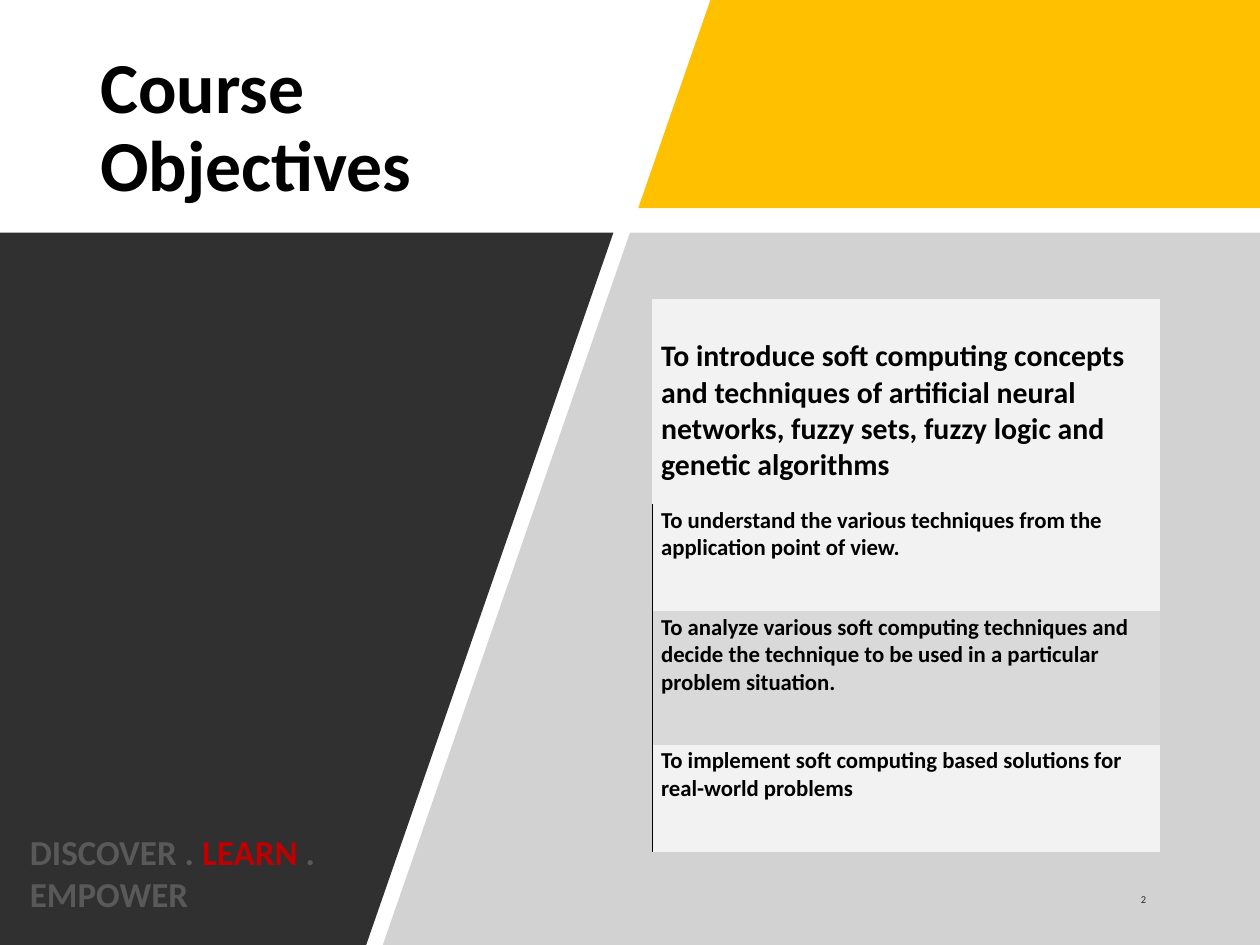
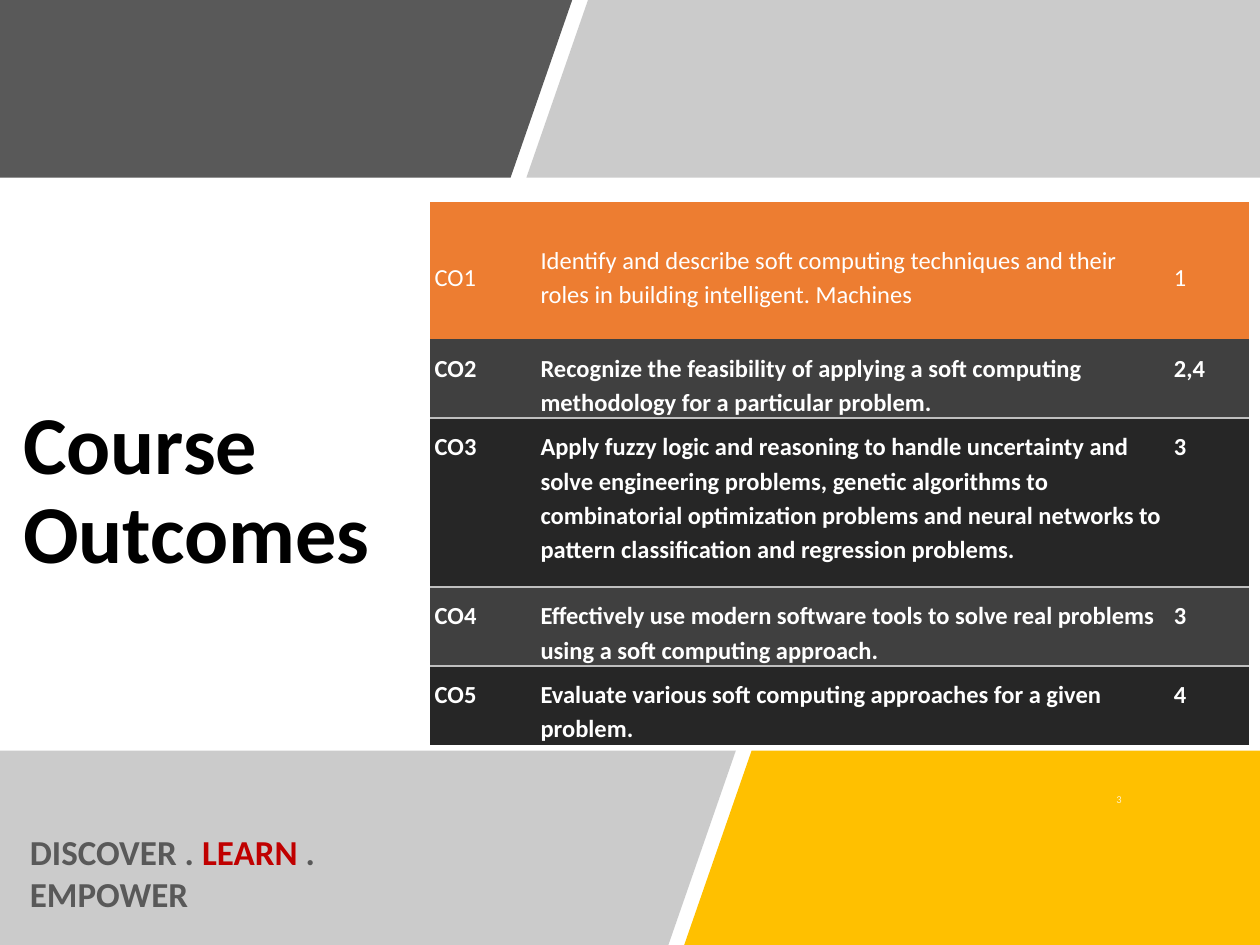
from lxml import etree
from pptx import Presentation
from pptx.dml.color import RGBColor
from pptx.enum.text import MSO_ANCHOR, MSO_AUTO_SIZE, PP_ALIGN
from pptx.oxml.ns import qn
from pptx.util import Pt

TOP, MIDDLE, BOTTOM = MSO_ANCHOR.TOP, MSO_ANCHOR.MIDDLE, MSO_ANCHOR.BOTTOM
LEFT, RIGHT = PP_ALIGN.LEFT, PP_ALIGN.RIGHT
NO_AUTOFIT = MSO_AUTO_SIZE.NONE

BLACK = RGBColor(0x00, 0x00, 0x00)
WHITE = RGBColor(0xFF, 0xFF, 0xFF)
YELLOW = RGBColor(0xFF, 0xC0, 0x00)
RED = RGBColor(0xC0, 0x00, 0x00)
ORANGE = RGBColor(0xED, 0x7D, 0x31)
SLATE = RGBColor(0x59, 0x59, 0x59)
CHARCOAL = RGBColor(0x30, 0x30, 0x30)
GREY = RGBColor(0xA6, 0xA6, 0xA6)
MID_GREY = RGBColor(0x7F, 0x7F, 0x7F)
RULE_GREY = RGBColor(0xBF, 0xBF, 0xBF)
PALE_ROW = RGBColor(0xF2, 0xF2, 0xF2)
SHADED_ROW = RGBColor(0xD9, 0xD9, 0xD9)
DARK_ROW = RGBColor(0x40, 0x40, 0x40)
DARKER_ROW = RGBColor(0x26, 0x26, 0x26)

FONT = "Calibri"
WIDTH, HEIGHT = 720, 540
SLANT = 0.347
NO_STYLE_TABLE = "{2D5ABB26-0587-4C30-8999-92F81FD0307C}"
MOTTO = [("DISCOVER . ", SLATE), ("LEARN", RED), (" . EMPOWER", SLATE)]

OBJECTIVE = {"size": 13, "bold": True, "color": BLACK, "anchor": TOP}
LEAD_OBJECTIVE = {"size": 17, "bold": True, "color": BLACK, "anchor": BOTTOM}
OUTCOME = {"size": 14, "bold": True, "color": WHITE, "anchor": TOP}
LEAD_OUTCOME = {"size": 14, "bold": False, "color": WHITE, "anchor": MIDDLE}

SLIDES = [
    {
        "title": "Course Objectives",
        "title_box": (50, 29, 310, 90),
        "title_size": 41,
        "title_anchor": MIDDLE,
        "panels": [
            (0, 119, 406, WIDTH, YELLOW, 100),
            (133, HEIGHT, 360, WIDTH, GREY, 50),
            (133, HEIGHT, 0, 350.5, CHARCOAL, 100),
        ],
        "number": ("2", 662, 514.5, BLACK),
        "table": {
            "origin": (372.8, 171),
            "columns": [290],
            "margins": (5, 1.4, 8.6, 11.5),
            "line_spacing": 1.0,
            "border_color": BLACK,
            "rows": [
                (117, PALE_ROW, "", LEAD_OBJECTIVE, [
                    "To introduce soft computing concepts and techniques of artificial "
                    "neural networks, fuzzy sets, fuzzy logic and genetic algorithms"]),
                (61.2, PALE_ROW, "L", OBJECTIVE, [
                    "To understand the various techniques from the application point of view."]),
                (76.3, SHADED_ROW, "L", OBJECTIVE, [
                    "To analyze various soft computing techniques and decide the technique "
                    "to be used in a particular problem situation."]),
                (61.2, PALE_ROW, "L", OBJECTIVE, [
                    "To implement soft computing based solutions for real-world problems"]),
            ],
        },
    },
    {
        "title": "Course Outcomes",
        "title_box": (6, 130, 272, 205.5),
        "title_size": 47,
        "title_anchor": BOTTOM,
        "panels": [
            (0, 101.5, 0, 327, SLATE, 100),
            (0, 101.5, 336, WIDTH, MID_GREY, 40),
            (429, HEIGHT, 429.5, WIDTH, YELLOW, 100),
            (429, HEIGHT, 0, 420.5, MID_GREY, 40),
        ],
        "number": ("3", 648, 457, WHITE),
        "table": {
            "origin": (246, 115.5),
            "columns": [60.5, 362, 45.5],
            "margins": (2.4, 5.8, 2.4, 0),
            "line_spacing": 1.15,
            "border_color": RULE_GREY,
            "rows": [
                (78.3, ORANGE, "", LEAD_OUTCOME, [
                    "CO1",
                    "Identify and describe soft computing techniques and their roles in "
                    "building intelligent. Machines",
                    "1"]),
                (45, DARK_ROW, "B", OUTCOME, [
                    "CO2",
                    "Recognize the feasibility of applying a soft computing methodology "
                    "for a particular problem.",
                    "2,4"]),
                (96.7, DARKER_ROW, "T", OUTCOME, [
                    "CO3",
                    "Apply fuzzy logic and reasoning to handle uncertainty and solve "
                    "engineering problems, genetic algorithms to combinatorial optimization "
                    "problems and neural networks to pattern classification and regression "
                    "problems.",
                    "3"]),
                (45, DARK_ROW, "B", OUTCOME, [
                    "CO4",
                    "Effectively use modern software tools to solve real problems using a "
                    "soft computing approach.",
                    "3"]),
                (45, DARKER_ROW, "T", OUTCOME, [
                    "CO5",
                    "Evaluate various soft computing approaches for a given problem.",
                    "4"]),
            ],
        },
    },
]


def set_attributes(target, values):
    for name, value in values.items():
        setattr(target, name, value)


def set_opacity(element, percent):
    for color in element.iter(qn("a:srgbClr")):
        etree.SubElement(color, qn("a:alpha"), val=str(percent * 1000))


def add_run(paragraph, text, size, color, bold=False):
    run = paragraph.add_run()
    run.text = text
    set_attributes(run.font, {"name": FONT, "size": Pt(size), "bold": bold})
    run.font.color.rgb = color
    return run


def add_title(slide, content):
    title = slide.shapes.title
    names = ("left", "top", "width", "height")
    set_attributes(title, dict(zip(names, map(Pt, content["title_box"]))))
    set_attributes(title.text_frame, {
        "word_wrap": True,
        "auto_size": NO_AUTOFIT,
        "vertical_anchor": content["title_anchor"],
    })
    paragraph = title.text_frame.paragraphs[0]
    set_attributes(paragraph, {"alignment": LEFT, "line_spacing": 0.9})
    add_run(paragraph, content["title"], content["title_size"], BLACK, True)


def add_panel(slide, top, bottom, left, right, color, opacity):
    shift = SLANT * (bottom - top)
    bottom_left = left - shift if left > 0 else left
    bottom_right = right - shift if right < WIDTH else right
    corners = [(left, top), (right, top), (bottom_right, bottom), (bottom_left, bottom)]
    points = [(Pt(x), Pt(y)) for x, y in corners]
    builder = slide.shapes.build_freeform(*points[0])
    builder.add_line_segments(points[1:], close=True)
    panel = builder.convert_to_shape()
    panel.shadow.inherit = False
    panel.fill.solid()
    panel.fill.fore_color.rgb = color
    panel.line.fill.background()
    if opacity < 100:
        set_opacity(panel.fill.fore_color and panel.element.spPr, opacity)


def add_text_box(slide, left, top, width, height, anchor):
    box = slide.shapes.add_textbox(Pt(left), Pt(top), Pt(width), Pt(height))
    set_attributes(box.text_frame, {"word_wrap": True, "vertical_anchor": anchor})
    return box.text_frame.paragraphs[0]


def add_number(slide, text, right, middle, color):
    paragraph = add_text_box(slide, right - 50, middle - 14.5, 50, 29, MIDDLE)
    set_attributes(paragraph, {"alignment": RIGHT, "line_spacing": 0.9})
    run = add_run(paragraph, text, 6, color)
    set_opacity(run.font._element, 80)


def add_motto(slide):
    paragraph = add_text_box(slide, 10, 471, 213, 75, TOP)
    for text, color in MOTTO:
        add_run(paragraph, text, 20, color, True)


def add_border(cell, side, color):
    line = etree.Element(qn(f"a:ln{side}"), w=str(Pt(1)))
    fill = etree.SubElement(line, qn("a:solidFill"))
    etree.SubElement(fill, qn("a:srgbClr"), val=str(color))
    cell._tc.get_or_add_tcPr().insert(0, line)


def fill_cell(cell, text, fill_color, style, content):
    left, top, right, bottom = map(Pt, content["margins"])
    set_attributes(cell, {
        "margin_left": left,
        "margin_top": top,
        "margin_right": right,
        "margin_bottom": bottom,
        "vertical_anchor": style["anchor"],
    })
    cell.fill.solid()
    cell.fill.fore_color.rgb = fill_color
    paragraph = cell.text_frame.paragraphs[0]
    paragraph.line_spacing = content["line_spacing"]
    add_run(paragraph, text, style["size"], style["color"], style["bold"])


def add_table(slide, content):
    columns, rows = content["columns"], content["rows"]
    left, top = content["origin"]
    frame = slide.shapes.add_table(
        len(rows), len(columns), Pt(left), Pt(top),
        Pt(sum(columns)), Pt(sum(row[0] for row in rows)))
    table = frame.table
    set_attributes(table, {"first_row": False, "horz_banding": False})
    table._tbl.tblPr.find(qn("a:tableStyleId")).text = NO_STYLE_TABLE
    for column, width in zip(table.columns, columns):
        column.width = Pt(width)
    for row, (height, fill_color, side, style, texts) in zip(table.rows, rows):
        row.height = Pt(height)
        for cell, text in zip(row.cells, texts):
            fill_cell(cell, text, fill_color, style, content)
            if side:
                add_border(cell, side, content["border_color"])


def main():
    presentation = Presentation()
    set_attributes(presentation, {"slide_width": Pt(WIDTH), "slide_height": Pt(HEIGHT)})
    title_only = presentation.slide_layouts[5]
    for content in SLIDES:
        slide = presentation.slides.add_slide(title_only)
        add_title(slide, content)
        for panel in content["panels"]:
            add_panel(slide, *panel)
        add_number(slide, *content["number"])
        add_table(slide, content["table"])
        add_motto(slide)
    presentation.save("out.pptx")


if __name__ == "__main__":
    main()
